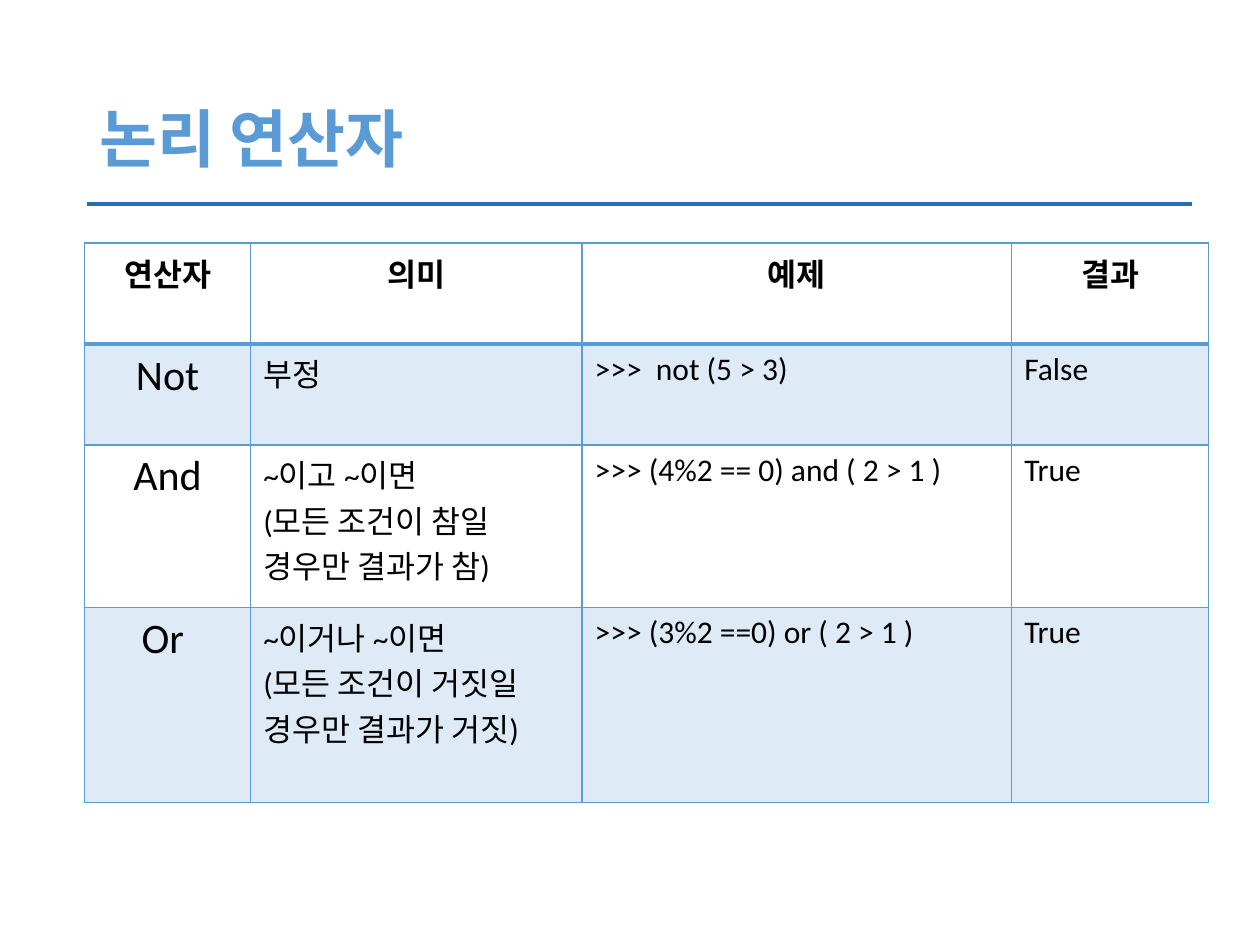
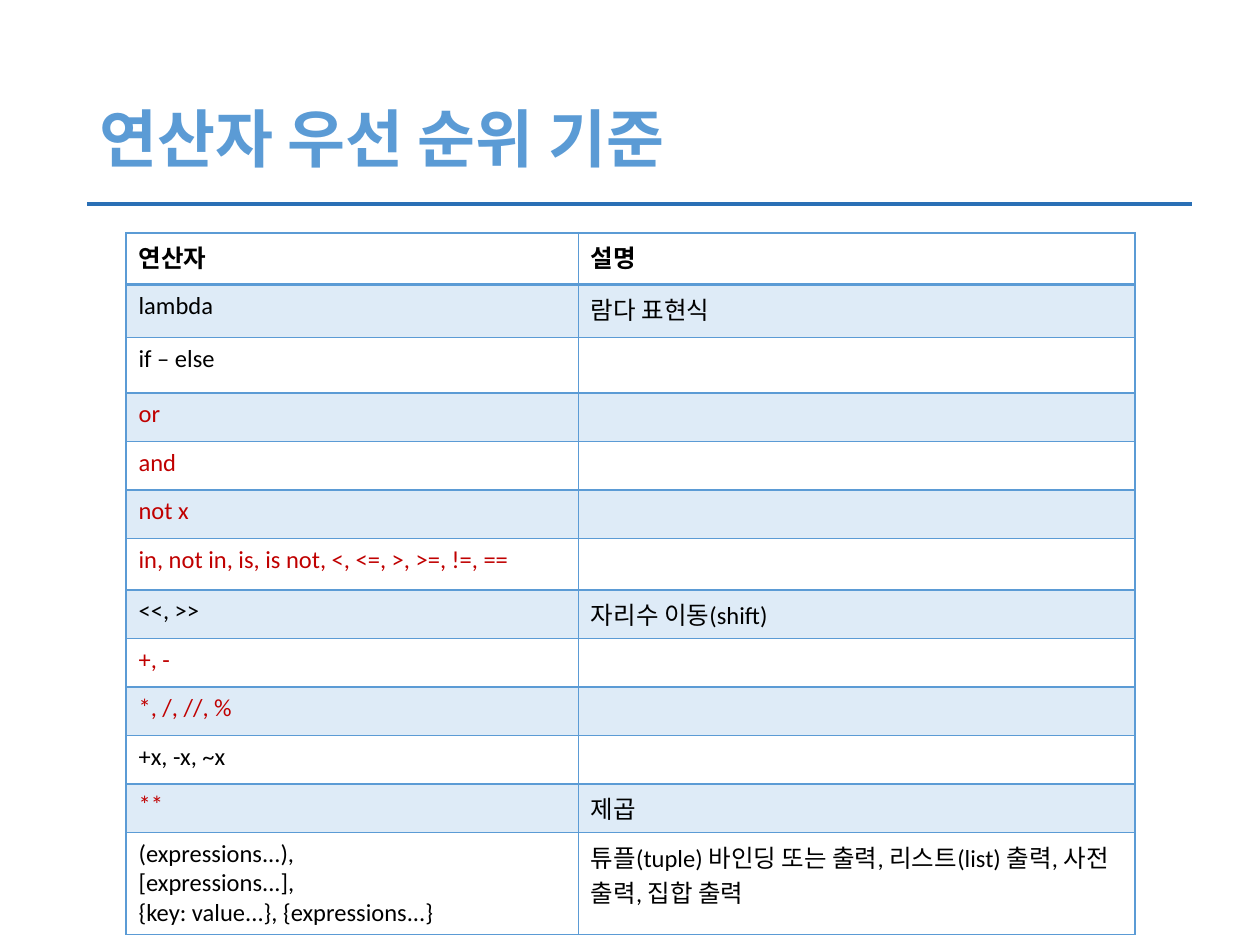
from lxml.etree import SubElement
from pptx import Presentation
from pptx.dml.color import RGBColor
from pptx.enum.shapes import MSO_CONNECTOR
from pptx.enum.text import MSO_ANCHOR, MSO_AUTO_SIZE, PP_ALIGN
from pptx.oxml.ns import qn
from pptx.util import Inches, Pt

FONT = "Calibri"
COLORS = {
    "accent": "5B9BD5",
    "rule": "2A6FB5",
    "band": "DEEBF7",
    "plain": "FFFFFF",
    "text": "000000",
    "highlight": "C00000",
}

LOGIC_ROWS = [
    ["연산자", "의미", "예제", "결과"],
    ["Not", "부정", ">>>  not (5 > 3)", "False"],
    ["And", "~이고 ~이면\n(모든 조건이 참일 경우만 결과가 참)",
     ">>> (4%2 == 0) and ( 2 > 1 )", "True"],
    ["Or ", "~이거나 ~이면\n(모든 조건이 거짓일 경우만 결과가 거짓)",
     ">>> (3%2 ==0) or ( 2 > 1 )", "True"],
]

PRECEDENCE_ROWS = [
    ["연산자", "설명"],
    ["lambda", "람다 표현식"],
    ["if – else", ""],
    ["or", ""],
    ["and", ""],
    ["not x", ""],
    ["in, not in, is, is not, <, <=, >, >=, !=, ==", ""],
    ["<<, >>", "자리수 이동(shift)"],
    ["+, -", ""],
    ["*, /, //, %", ""],
    ["+x, -x, ~x", ""],
    ["**", "제곱"],
    ["(expressions...),\n[expressions...],\n{key: value...}, {expressions...}",
     "튜플(tuple) 바인딩 또는 출력, 리스트(list) 출력, 사전 출력, 집합 출력"],
]
HIGHLIGHTED_ROWS = {3, 4, 5, 6, 8, 9, 11}


def rgb(name):
    return RGBColor.from_string(COLORS[name])


def format_text(text_frame, size, color="text", bold=False, align=PP_ALIGN.LEFT):
    for paragraph in text_frame.paragraphs:
        paragraph.alignment = align
        for run in paragraph.runs:
            run.font.name = FONT
            run.font.size = Pt(size)
            run.font.bold = bold
            run.font.color.rgb = rgb(color)
        if not paragraph.runs:
            # An empty cell takes its height from the end mark
            SubElement(paragraph._p, qn("a:endParaRPr"), sz=str(size * 100))


def add_rule(slide):
    rule = slide.shapes.add_connector(
        MSO_CONNECTOR.STRAIGHT, Inches(9.46), Inches(1.62), Inches(0.69), Inches(1.62))
    rule.line.color.rgb = rgb("rule")
    rule.line.width = Pt(2.25)
    SubElement(rule._element.spPr, qn("a:effectLst"))


def add_titled_slide(presentation, title_text):
    slide = presentation.slides.add_slide(presentation.slide_layouts[5])
    title = slide.shapes.title
    title.left, title.top = Inches(0.69), Inches(0.4)
    title.width, title.height = Inches(8.62), Inches(1.45)
    frame = title.text_frame
    frame.text = title_text
    frame.auto_size = MSO_AUTO_SIZE.NONE
    frame.vertical_anchor = MSO_ANCHOR.MIDDLE
    frame.paragraphs[0].line_spacing = 0.9
    format_text(frame, 36, "accent", bold=True)
    add_rule(slide)
    return slide


def set_borders(cell, row):
    """Draw thin borders, with a thicker line between header and body."""
    widths = {"L": 1, "R": 1, "T": 2 if row == 1 else 1, "B": 2 if row == 0 else 1}
    properties = cell._tc.get_or_add_tcPr()
    for side, width in widths.items():
        line = SubElement(properties, qn(f"a:ln{side}"), w=str(Pt(width)))
        fill = SubElement(line, qn("a:solidFill"))
        SubElement(fill, qn("a:srgbClr"), val=COLORS["accent"])


def add_banded_table(slide, rows, left, top, column_widths, row_heights):
    """Add a table with a plain header and alternating bands; its text is unformatted."""
    table = slide.shapes.add_table(
        len(rows), len(column_widths), Inches(left), Inches(top),
        Inches(sum(column_widths)), Inches(sum(row_heights))).table
    table.first_row = table.horz_banding = False
    for column, width in zip(table.columns, column_widths):
        column.width = Inches(width)
    for row, height in zip(table.rows, row_heights):
        row.height = Inches(height)
    for row, texts in enumerate(rows):
        for column, text in enumerate(texts):
            cell = table.cell(row, column)
            cell.text_frame.text = text
            set_borders(cell, row)
            cell.fill.solid()
            cell.fill.fore_color.rgb = rgb("band" if row % 2 else "plain")
    return table


def build_logic_slide(presentation):
    slide = add_titled_slide(presentation, "논리 연산자")
    table = add_banded_table(slide, LOGIC_ROWS, 0.67, 1.93,
                             [1.32, 2.63, 3.41, 1.56], [0.8, 0.8, 1.29, 1.55])
    for row, texts in enumerate(LOGIC_ROWS):
        for column in range(len(texts)):
            header, operator = row == 0, column == 0
            format_text(table.cell(row, column).text_frame,
                        24 if operator and not header else 18, bold=header,
                        align=PP_ALIGN.CENTER if header or operator else PP_ALIGN.LEFT)


def build_precedence_slide(presentation):
    slide = add_titled_slide(presentation, "연산자 우선 순위 기준")
    heights = [0.41, 0.42, 0.44] + [0.385] * 3 + [0.41] + [0.385] * 5 + [0.81]
    table = add_banded_table(slide, PRECEDENCE_ROWS, 1, 1.85, [3.59, 4.42], heights)
    for row, texts in enumerate(PRECEDENCE_ROWS):
        for column in range(len(texts)):
            highlighted = column == 0 and row in HIGHLIGHTED_ROWS
            format_text(table.cell(row, column).text_frame, 14,
                        "highlight" if highlighted else "text", bold=row == 0)


def main():
    presentation = Presentation()
    presentation.slide_width, presentation.slide_height = Inches(10), Inches(7.5)
    build_logic_slide(presentation)
    build_precedence_slide(presentation)
    presentation.save("out.pptx")


if __name__ == "__main__":
    main()
